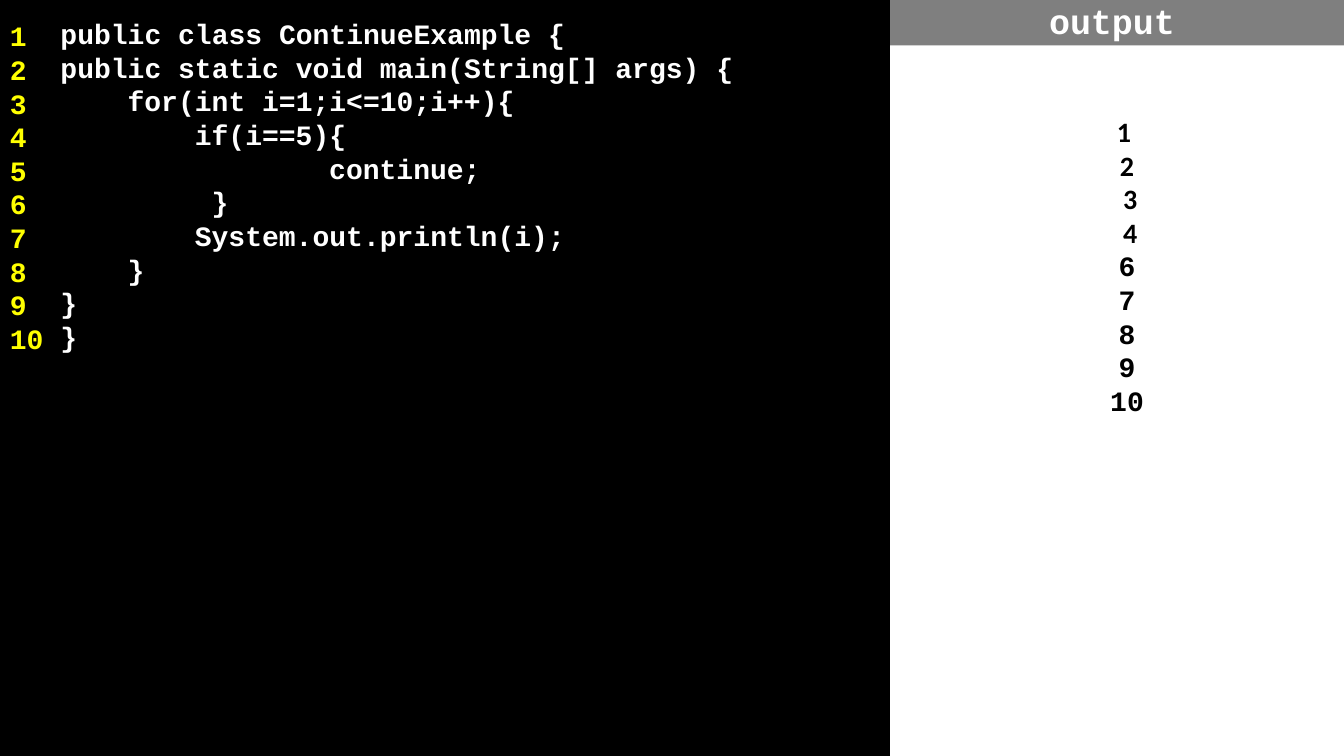
from lxml.etree import SubElement
from pptx import Presentation
from pptx.dml.color import RGBColor
from pptx.enum.shapes import MSO_SHAPE
from pptx.enum.text import MSO_ANCHOR, MSO_AUTO_SIZE, PP_ALIGN
from pptx.oxml.ns import qn
from pptx.util import Pt

BLACK = RGBColor(0, 0, 0)
WHITE = RGBColor(255, 255, 255)
YELLOW = RGBColor(255, 255, 0)
GRAY = RGBColor(127, 127, 127)
CODE_FONT = "Courier New"
CODE_WIDTH = 635.76
LINE_HEIGHT = 24
CHARACTER_WIDTH = 12


def add_panel(left, top, width, height, color, margins=(0, 0, 0, 0)):
    panel = slide.shapes.add_shape(
        MSO_SHAPE.RECTANGLE, Pt(left), Pt(top), Pt(width), Pt(height))
    panel.shadow.inherit = False
    panel.fill.solid()
    panel.fill.fore_color.rgb = color
    panel.line.fill.background()
    frame = panel.text_frame
    frame.word_wrap = True
    frame.vertical_anchor = MSO_ANCHOR.TOP
    frame.margin_left, frame.margin_top, frame.margin_right, frame.margin_bottom = map(Pt, margins)
    return panel


def write_lines(frame, lines, color, align=PP_ALIGN.LEFT):
    for index, (text, indent, font) in enumerate(lines):
        paragraph = frame.add_paragraph() if index else frame.paragraphs[0]
        paragraph.alignment = align
        paragraph.line_spacing = Pt(LINE_HEIGHT)
        if indent:
            paragraph._p.get_or_add_pPr().set("marL", str(Pt(indent * CHARACTER_WIDTH)))
        run = paragraph.add_run()
        run.text = text
        run.font.name = font
        run.font.size = Pt(20)
        run.font.bold = True
        run.font.color.rgb = color


presentation = Presentation()
presentation.slide_width = Pt(960)
presentation.slide_height = Pt(540)
slide = presentation.slides.add_slide(presentation.slide_layouts[5])

output = add_panel(CODE_WIDTH, 28.8, 324.24, 511.2, WHITE, (14.4, 53, 0, 0))
printed = [(text, 0, "Calibri") for text in ("1 ", "2", " 3", " 4")]
printed += [(str(number), 0, CODE_FONT) for number in range(6, 11)]
write_lines(output.text_frame, printed, BLACK, PP_ALIGN.CENTER)

code = add_panel(0, 0, CODE_WIDTH, 540, BLACK, (43.2, 12, 7.2, 72))
source = [
    ("public class ContinueExample {", 0),
    ("public static void main(String[] args) {", 0),
    ("for(int i=1;i<=10;i++){", 4),
    ("if(i==5){", 8),
    ("continue;", 16),
    ("}", 9),
    ("System.out.println(i);", 8),
    ("}", 4),
    ("}", 0),
    ("}", 0),
]
write_lines(code.text_frame, [(text, indent, CODE_FONT) for text, indent in source], WHITE)

gutter_top = add_panel(0, 0, 41.76, 5.76, BLACK)
gutter = add_panel(0, 5.76, 41.76, 534.24, BLACK, (7.2, 7.7, 0, 72))
for strip in (gutter_top, gutter):
    shade = strip.element.spPr.find(qn("a:solidFill"))[0]
    SubElement(shade, qn("a:alpha")).set("val", "68000")
numbers = [(str(number), 0, CODE_FONT) for number in range(1, len(source) + 1)]
write_lines(gutter.text_frame, numbers, YELLOW)

heading = slide.shapes.title
slide.shapes.element.append(heading.element)
heading.left, heading.top = Pt(CODE_WIDTH), Pt(0)
heading.width, heading.height = Pt(324.24), Pt(32.4)
heading.fill.solid()
heading.fill.fore_color.rgb = GRAY
heading_frame = heading.text_frame
heading_frame.auto_size = MSO_AUTO_SIZE.NONE
heading_frame.vertical_anchor = MSO_ANCHOR.MIDDLE
heading_frame.margin_left, heading_frame.margin_top = Pt(0), Pt(3.6)
heading_frame.margin_right, heading_frame.margin_bottom = Pt(7.2), Pt(7.2)
heading_frame.paragraphs[0].alignment = PP_ALIGN.CENTER
heading_run = heading_frame.paragraphs[0].add_run()
heading_run.text = "output"
heading_run.font.name = CODE_FONT
heading_run.font.size = Pt(25)
heading_run.font.bold = True
heading_run.font.color.rgb = WHITE

presentation.save("out.pptx")
